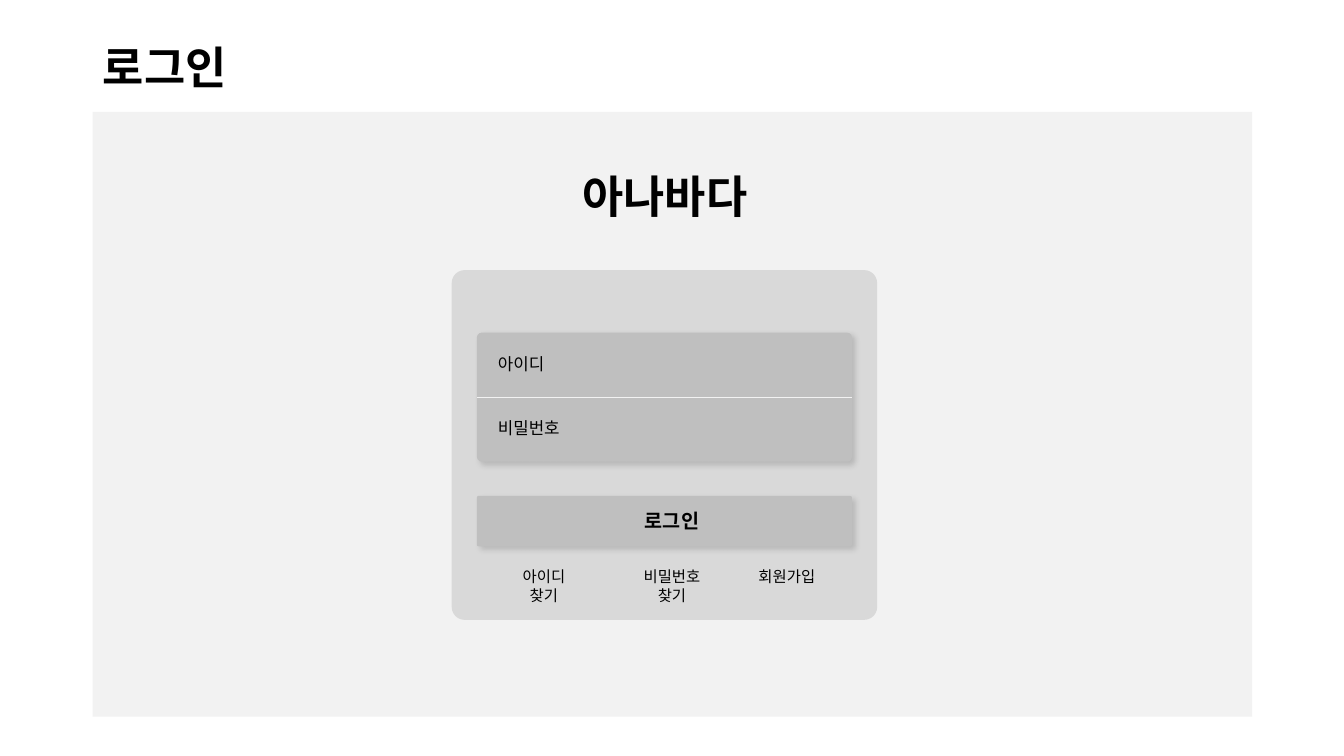
"""Build the login screen wireframe slide."""
from lxml import etree
from pptx import Presentation
from pptx.dml.color import RGBColor
from pptx.enum.shapes import MSO_CONNECTOR, MSO_SHAPE
from pptx.enum.text import MSO_ANCHOR, MSO_AUTO_SIZE, PP_ALIGN
from pptx.oxml.ns import qn
from pptx.util import Inches, Pt

RECTANGLE, ROUNDED = MSO_SHAPE.RECTANGLE, MSO_SHAPE.ROUNDED_RECTANGLE
LEFT, CENTER = PP_ALIGN.LEFT, PP_ALIGN.CENTER
FONT = "Noto Sans CJK KR"
BLACK = RGBColor(0x00, 0x00, 0x00)
PAGE_GRAY = RGBColor(0xF2, 0xF2, 0xF2)
CARD_GRAY = RGBColor(0xD9, 0xD9, 0xD9)
FIELD_GRAY = RGBColor(0xBF, 0xBF, 0xBF)


def add_panel(kind, box, color, raised=False):
    panel = slide.shapes.add_shape(kind, *map(Inches, box))
    panel.shadow.inherit = False
    panel.fill.solid()
    panel.fill.fore_color.rgb = color
    panel.line.fill.background()
    if kind == ROUNDED:
        panel.adjustments[0] = 0.037
    if raised:
        effects = panel._element.spPr.find(qn("a:effectLst"))
        shadow = etree.SubElement(
            effects, qn("a:outerShdw"), blurRad=str(Pt(4)), dist=str(Pt(3)),
            dir="2700000", algn="tl", rotWithShape="0")
        tint = etree.SubElement(shadow, qn("a:srgbClr"), val=str(BLACK))
        etree.SubElement(tint, qn("a:alpha"), val="15000")
    return panel


def write(frame, text, size, bold, align):
    frame.word_wrap = True
    paragraph = frame.paragraphs[0]
    paragraph.alignment = align
    run = paragraph.add_run()
    run.text = text
    run.font.size = Pt(size)
    run.font.bold = bold
    run.font.name = FONT
    run.font.color.rgb = BLACK
    etree.SubElement(run.font._element, qn("a:ea"), typeface=FONT)


prs = Presentation()
prs.slide_width, prs.slide_height = Inches(13.33), Inches(7.5)
slide = prs.slides.add_slide(prs.slide_layouts[5])

title = slide.shapes.title
title.left, title.top = Inches(0.92), Inches(0.4)
title.width, title.height = Inches(11.5), Inches(0.59)
title.text_frame.vertical_anchor = MSO_ANCHOR.MIDDLE
title.text_frame.auto_size = MSO_AUTO_SIZE.NONE
write(title.text_frame, "로그인", 32, True, LEFT)
title.text_frame.paragraphs[0].line_spacing = 0.9

add_panel(RECTANGLE, (0.92, 1.11, 11.5, 6), PAGE_GRAY)
add_panel(ROUNDED, (4.48, 2.68, 4.22, 3.47), CARD_GRAY)
credentials = add_panel(ROUNDED, (4.73, 3.3, 3.72, 1.28), FIELD_GRAY, True)
add_panel(ROUNDED, (4.73, 4.92, 3.72, 0.5), FIELD_GRAY, True)

divider = slide.shapes.add_connector(
    MSO_CONNECTOR.STRAIGHT, Inches(4.73), Inches(3.94), Inches(8.45), Inches(3.94))
divider.begin_connect(credentials, 1)
divider.end_connect(credentials, 3)
divider.line.color.rgb = PAGE_GRAY
divider.line.width = Pt(0.5)
etree.SubElement(divider._element.spPr, qn("a:effectLst"))

labels = [
    ("아이디", (4.84, 3.46, 3.45, 0.3), 12, False, LEFT),
    ("비밀번호", (4.84, 4.1, 3.45, 0.3), 12, False, LEFT),
    ("로그인", (4.94, 5, 3.45, 0.34), 14, True, CENTER),
    ("회원가입", (7.4, 5.58, 0.81, 0.29), 11, False, CENTER),
    ("아이디 찾기", (4.94, 5.58, 0.91, 0.29), 11, False, CENTER),
    ("비밀번호 찾기", (6.14, 5.58, 1.05, 0.29), 11, False, CENTER),
    ("아나바다", (5.67, 1.62, 1.85, 0.64), 32, True, CENTER),
]
for text, box, size, bold, align in labels:
    label = slide.shapes.add_textbox(*map(Inches, box))
    label.text_frame.auto_size = MSO_AUTO_SIZE.SHAPE_TO_FIT_TEXT
    write(label.text_frame, text, size, bold, align)

prs.save("out.pptx")
